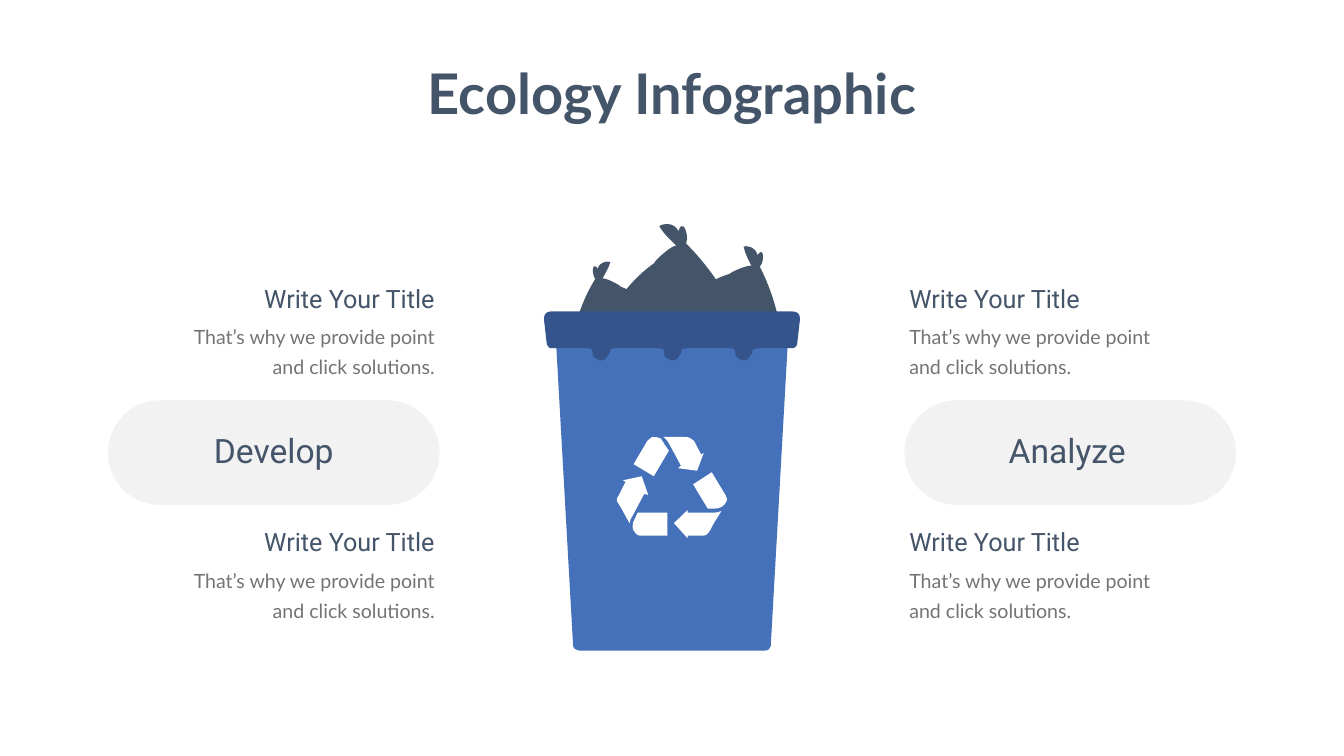
from math import cos, radians, sin

from lxml.etree import Element, SubElement
from pptx import Presentation
from pptx.dml.color import RGBColor
from pptx.enum.shapes import MSO_SHAPE as Shape
from pptx.enum.text import MSO_ANCHOR as Anchor, MSO_AUTO_SIZE as AutoSize, PP_ALIGN as Align
from pptx.oxml.ns import qn
from pptx.util import Cm, Pt

# Content
TITLE = "Ecology Infographic"
HEADING = "Write Your Title"
BODY = "That’s why we provide point and click solutions."
# label, pill left, label left, text left, text alignment (cm)
SIDES = [
    ("Develop", 5.44, 9.53, 9.32, Align.RIGHT),
    ("Analyze", 45.57, 49.51, 45.57, Align.LEFT),
]
HEADING_TOPS = (14.13, 26.42)
SLATE, GREY, BLUE, NAVY, WHITE = "445469", "737572", "4570BA", "34548B", "FFFFFF"

# Outlines in units of 2.54 cm: a pair is a corner, six numbers are a Bezier curve
UNIT = 2.54
# Each bag: turn in degrees, centre of the turn, outline as it stands when turned
BAGS = [
    (18.2, (14.5, 6.51), [
        (15.5, 7.38), (15.6, 7.08, 15.55, 6.73, 15.53, 6.43), (15.45, 6.03, 15.32, 5.65, 15.14, 5.3),
        (15.21, 5.24, 15.22, 5.07, 15.19, 5.02), (15.16, 5.01), (15.16, 5.01, 15.11, 5.04, 15.09, 5.07),
        (15.07, 4.9, 14.87, 4.88, 14.82, 4.9), (14.85, 5.04, 14.9, 5.14, 14.98, 5.29),
        (14.96, 5.24, 14.57, 5.4, 14.55, 5.44), (14.23, 5.54, 13.97, 5.71, 13.69, 5.91),
        (13.5, 6.1, 13.26, 6.32, 13.18, 6.58), (13.13, 6.86, 13.17, 7.12, 13.29, 7.37),
        (13.66, 8.04, 14.56, 8.21, 15.2, 7.79), (15.37, 7.67, 15.45, 7.54, 15.5, 7.38)]),
    (-14.6, (12.25, 6.62), [
        (11.33, 7.32), (11.26, 7.05, 11.33, 6.75, 11.36, 6.49), (11.45, 6.15, 11.58, 5.83, 11.76, 5.54),
        (11.71, 5.48, 11.7, 5.34, 11.73, 5.29), (11.76, 5.29), (11.76, 5.29, 11.8, 5.31, 11.81, 5.34),
        (11.84, 5.19, 12.02, 5.18, 12.06, 5.21), (12.02, 5.33, 11.97, 5.41, 11.9, 5.54),
        (11.92, 5.49, 12.25, 5.66, 12.26, 5.69), (12.53, 5.8, 12.75, 5.95, 12.98, 6.14),
        (13.13, 6.32, 13.32, 6.52, 13.39, 6.75), (13.41, 6.99, 13.37, 7.22, 13.24, 7.43),
        (12.89, 7.98, 12.1, 8.08, 11.57, 7.68), (11.43, 7.58, 11.37, 7.45, 11.33, 7.32)]),
    (0, (13.32, 6.47), [
        (14.82, 7.11), (14.82, 6.72, 14.62, 6.33, 14.48, 5.99), (14.24, 5.56, 13.95, 5.17, 13.61, 4.83),
        (13.66, 4.73, 13.61, 4.54, 13.56, 4.49), (13.51, 4.49), (13.51, 4.49, 13.46, 4.54, 13.46, 4.59),
        (13.37, 4.39, 13.13, 4.44, 13.08, 4.49), (13.17, 4.64, 13.27, 4.73, 13.42, 4.88),
        (13.37, 4.83, 12.98, 5.17, 12.98, 5.22), (12.64, 5.46, 12.4, 5.75, 12.16, 6.09),
        (12.01, 6.38, 11.82, 6.72, 11.82, 7.06), (11.87, 7.4, 12.01, 7.69, 12.25, 7.93),
        (12.93, 8.56, 14.04, 8.41, 14.62, 7.69), (14.77, 7.49, 14.82, 7.3, 14.82, 7.11)]),
]
BIN = [(15.15, 12.91), (11.51, 12.91), (11.46, 12.91, 11.37, 12.87, 11.37, 12.82),
       (11.03, 6.77), (15.63, 6.77), (15.29, 12.82), (15.29, 12.87, 15.24, 12.91, 15.15, 12.91)]
# Lid: three equal teeth hang between its left and right ends
TOOTH_LEFTS = (11.66, 13.08, 14.49)
TOOTH = [(0, 6.91), (.05, 6.91, .1, 6.91, .1, 7.01), (.1, 7.06), (.15, 7.1, .19, 7.15, .24, 7.15),
         (.29, 7.15), (.34, 7.15, .39, 7.1, .39, 7.06), (.43, 7.01), (.43, 6.91, .48, 6.91, .53, 6.91)]
LID_LEFT = [(10.79, 6.33), (10.84, 6.77), (10.84, 6.86, 10.89, 6.91, 10.93, 6.91)]
LID_RIGHT = [(15.72, 6.91), (15.77, 6.91, 15.82, 6.86, 15.82, 6.77), (15.87, 6.33),
             (15.87, 6.23, 15.82, 6.18, 15.72, 6.18), (10.93, 6.18),
             (10.84, 6.18, 10.79, 6.23, 10.79, 6.33)]
RECYCLE_PARTS = [
    [(14.42, 9.93), (14.42, 9.9, 14.42, 9.85, 14.39, 9.82), (14.12, 9.37), (13.75, 9.61),
     (14.04, 10.09), (14.17, 10.09), (14.28, 10.09, 14.36, 10.06, 14.42, 9.93)],
    [(14.31, 10.14), (14.25, 10.17, 14.2, 10.17, 14.17, 10.17), (13.64, 10.17), (13.64, 10.12),
     (13.37, 10.38), (13.64, 10.68), (13.64, 10.63), (13.93, 10.63),
     (14.01, 10.63, 14.04, 10.6, 14.09, 10.52), (14.15, 10.38, 14.23, 10.28, 14.31, 10.14)],
    [(12.6, 10.57), (12.65, 10.63, 12.68, 10.63, 12.73, 10.63), (13.24, 10.63), (13.24, 10.17),
     (12.65, 10.17), (12.6, 10.28), (12.54, 10.38, 12.52, 10.49, 12.6, 10.57)],
    [(12.86, 9.82), (12.73, 9.45), (12.36, 9.53), (12.41, 9.56), (12.28, 9.82),
     (12.22, 9.9, 12.22, 9.93, 12.28, 10.01), (12.36, 10.14, 12.41, 10.25, 12.49, 10.38),
     (12.49, 10.33, 12.52, 10.28, 12.54, 10.25), (12.78, 9.8)],
    [(12.94, 8.67), (12.89, 8.7, 12.86, 8.73, 12.84, 8.75), (12.57, 9.21), (12.97, 9.45),
     (13.27, 8.94), (13.19, 8.83), (13.16, 8.78, 13.13, 8.73, 13.11, 8.7),
     (13.05, 8.67, 13, 8.67, 12.94, 8.67)],
    [(13.45, 9.29), (13.83, 9.34), (13.96, 8.99), (13.91, 9.02), (13.77, 8.75),
     (13.72, 8.7, 13.67, 8.67, 13.59, 8.67), (13.16, 8.67),
     (13.21, 8.7, 13.24, 8.75, 13.26, 8.78), (13.51, 9.24)],
]


def paint(shape, color):
    shape.shadow.inherit = False
    shape.fill.solid()
    shape.fill.fore_color.rgb = RGBColor.from_string(color)
    shape.line.fill.background()


def place(part, turn, centre):
    """Points of one outline part in EMU, turned back about the centre."""
    c, s = cos(radians(turn)), sin(radians(turn))
    offsets = [(x - centre[0], y - centre[1]) for x, y in zip(part[::2], part[1::2])]
    return [(Cm(UNIT * (centre[0] + x * c + y * s)), Cm(UNIT * (centre[1] - x * s + y * c)))
            for x, y in offsets]


def add_outline(shapes, outline, color, turn=0, centre=(0, 0)):
    parts = [place(part, turn, centre) for part in outline]
    builder = shapes.build_freeform(*parts[0][0])
    builder.add_line_segments([points[-1] for points in parts[1:]], close=True)
    shape = builder.convert_to_shape()
    # Bend the segments that have control points
    for segment, points in zip(list(shape._element.iter(qn("a:lnTo"))), parts[1:]):
        if len(points) == 3:
            segment.tag = qn("a:cubicBezTo")
            for index, (x, y) in enumerate(points[:2]):
                control = Element(qn("a:pt"), x=str(x - shape.left), y=str(y - shape.top))
                segment.insert(index, control)
    shape.rotation = turn
    paint(shape, color)


def write(box, text, font, size, color, align, bold=False, wrap=True, spacing=None):
    frame = box.text_frame
    frame.text = text
    frame.word_wrap = wrap
    frame.auto_size = AutoSize.SHAPE_TO_FIT_TEXT
    frame.vertical_anchor = Anchor.TOP
    para = frame.paragraphs[0]
    para.alignment = align
    if spacing:
        para.line_spacing = Pt(spacing)
    style = para.runs[0].font
    style.name, style.size, style.bold = font, Pt(size), bold
    style.color.rgb = RGBColor.from_string(color)


def add_text(left, top, width, height, *args, **options):
    box = slide.shapes.add_textbox(Cm(left), Cm(top), Cm(width), Cm(height))
    write(box, *args, **options)


deck = Presentation()
deck.slide_width, deck.slide_height = Cm(67.72), Cm(38.1)
slide = deck.slides.add_slide(deck.slide_layouts[5])

# Title
title = slide.shapes.title
title.left, title.top, title.width, title.height = Cm(21.02), Cm(2.84), Cm(25.68), Cm(3.68)
write(title, TITLE, "Lato", 80, SLATE, Align.CENTER, bold=True, wrap=False)

# Pills with text above and below
for label, pill_left, label_left, text_left, align in SIDES:
    pill = slide.shapes.add_shape(Shape.ROUNDED_RECTANGLE, Cm(pill_left), Cm(20.17), Cm(16.71), Cm(5.28))
    pill.adjustments[0] = 0.5
    paint(pill, "808080")
    tint = pill.fill._xPr.find(qn("a:solidFill"))[0]
    SubElement(tint, qn("a:alpha"), val="10000")
    add_text(label_left, 21.54, 8.53, 2.31, label, "Roboto", 48, SLATE, Align.CENTER)
    for top in HEADING_TOPS:
        add_text(text_left, top, 12.83, 1.8, HEADING, "Roboto", 36, SLATE, align)
        add_text(text_left, top + 1.8, 12.83, 3.15, BODY, "Lato", 28, GREY, align, spacing=43)

# Bin with bags, lid and recycling symbol
for turn, centre, bag in BAGS:
    add_outline(slide.shapes, bag, SLATE, turn, centre)
add_outline(slide.shapes, BIN, BLUE)
teeth = [tuple(value + left * (index % 2 == 0) for index, value in enumerate(part))
         for left in TOOTH_LEFTS for part in TOOTH]
add_outline(slide.shapes, LID_LEFT + teeth + LID_RIGHT, NAVY)
symbol = slide.shapes.add_group_shape()
for part in RECYCLE_PARTS:
    add_outline(symbol.shapes, part, WHITE)

deck.save("out.pptx")
